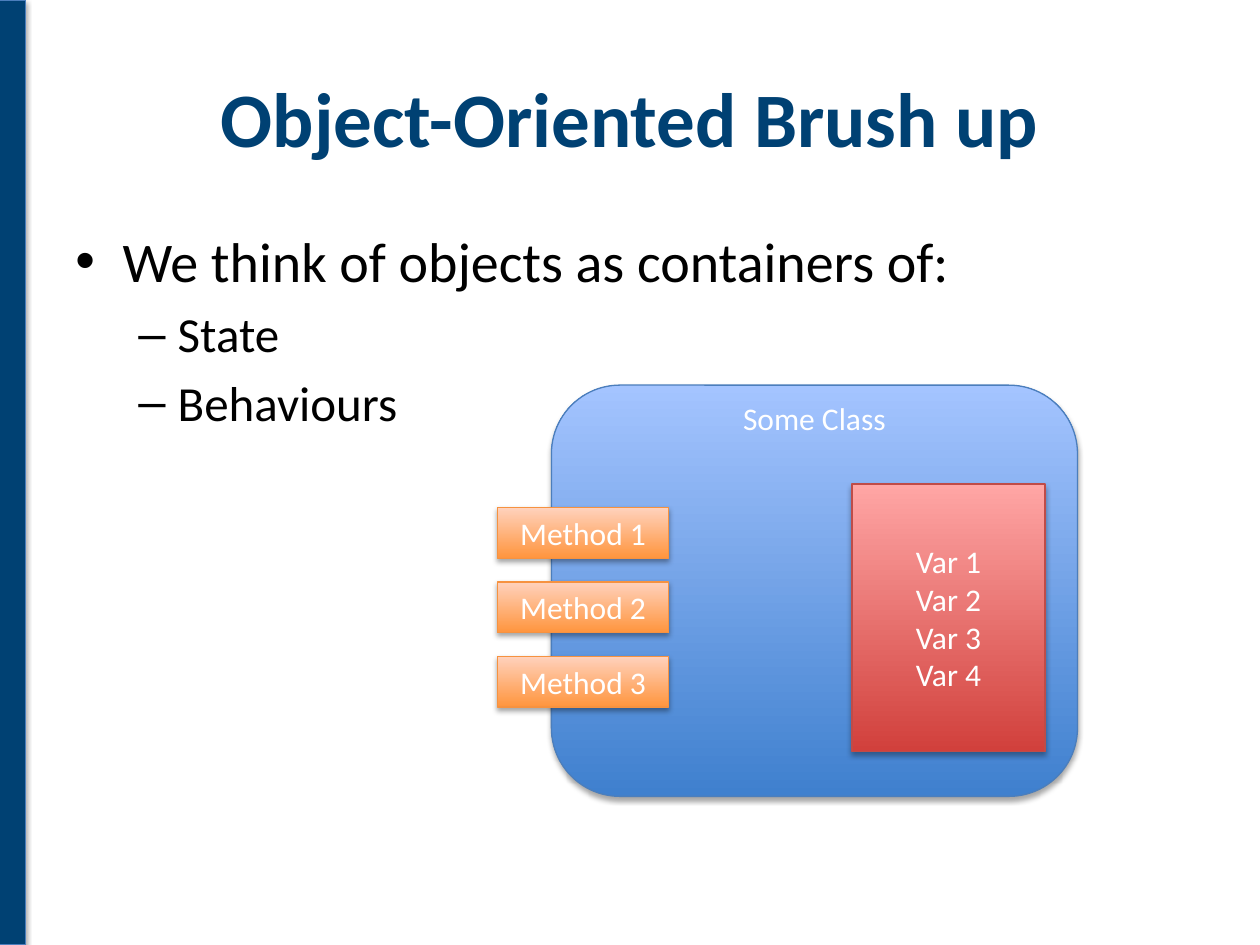
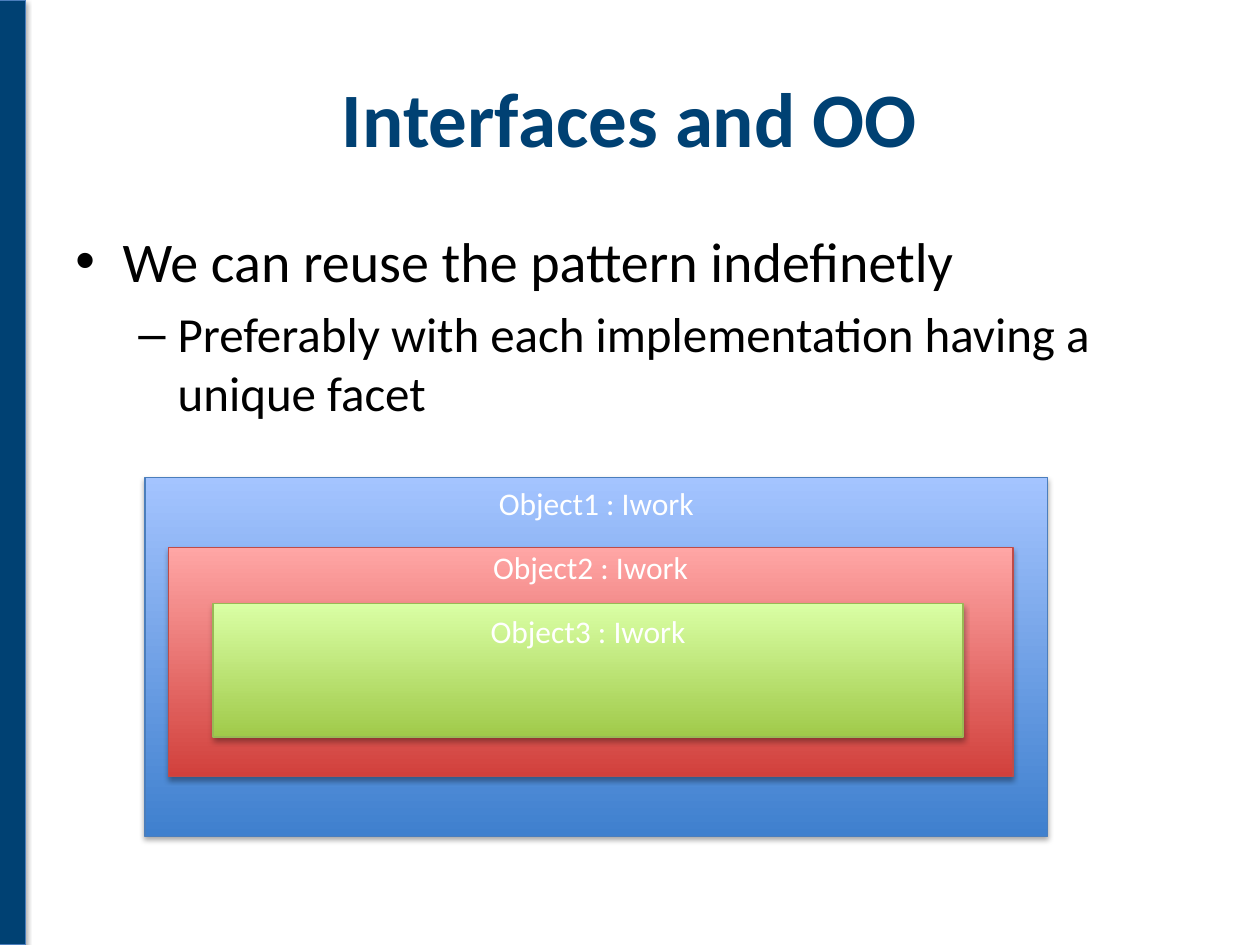
from lxml import etree
from pptx import Presentation
from pptx.dml.color import RGBColor
from pptx.enum.shapes import MSO_SHAPE
from pptx.enum.text import MSO_ANCHOR, PP_ALIGN
from pptx.oxml.ns import qn
from pptx.util import Pt

RECT, ROUND = MSO_SHAPE.RECTANGLE, MSO_SHAPE.ROUNDED_RECTANGLE
TOP, MIDDLE = MSO_ANCHOR.TOP, MSO_ANCHOR.MIDDLE
CENTER, LEFT = PP_ALIGN.CENTER, PP_ALIGN.LEFT

FONT = "Calibri"
NAVY, WHITE, BLACK = "004173", "FFFFFF", "000000"
BLUE = ("3F80CE", "A4C4FF", "4B7EBC")
RED = ("D1403C", "FFA6A5", "BF4C48")
ORANGE = ("FF953E", "FFD2BD", "F69240")
GREEN = ("A0CA4A", "DAFFA5", "98B955")
LEVELS = (("•", 32, 27, 27), ("–", 28, 58.5, 22.5))


def color(code):
    """Turn a hex string into a colour."""
    return RGBColor.from_string(code)


def style(par, size, code, align, bold=False):
    """Format a paragraph and its runs."""
    par.alignment = align
    for run in par.runs:
        run.font.name = FONT
        run.font.size = Pt(size)
        run.font.bold = bold
        run.font.color.rgb = color(code)


def shade(shape):
    """Give a shape the soft shadow of the deck."""
    shape.shadow.inherit = False
    effects = shape._element.spPr.find(qn("a:effectLst"))
    outer = etree.SubElement(effects, qn("a:outerShdw"), blurRad=str(Pt(3.1)),
                             dist=str(Pt(1.8)), dir="5400000", rotWithShape="0")
    tint = etree.SubElement(outer, qn("a:srgbClr"), val=BLACK)
    etree.SubElement(tint, qn("a:alpha"), val="35000")


def block(slide, kind, area, edge):
    """Add an outlined shape with a shadow."""
    shape = slide.shapes.add_shape(kind, *map(Pt, area))
    shape.line.color.rgb = color(edge)
    shape.line.width = Pt(0.75)
    shade(shape)
    return shape


def box(slide, text, area, theme, kind=RECT, inset=None):
    """Add a gradient box with its label centred, or at the top by an inset."""
    low, high, edge = theme
    shape = block(slide, kind, area, edge)
    shape.fill.gradient()
    shape.fill.gradient_angle = 90
    for stop, code in zip(shape.fill.gradient_stops, (low, high)):
        stop.color.rgb = color(code)
    frame = shape.text_frame
    frame.text = text
    frame.vertical_anchor = MIDDLE
    if inset is not None:
        frame.vertical_anchor = TOP
        frame.margin_top = Pt(inset)
    for par in frame.paragraphs:
        style(par, 18, WHITE, CENTER)


def textbox(slide, text, area, anchor):
    """Add a wrapping text box and return its frame."""
    frame = slide.shapes.add_textbox(*map(Pt, area)).text_frame
    frame.word_wrap = True
    frame.vertical_anchor = anchor
    frame.text = text
    return frame


def bullet(par, level):
    """Format a paragraph as a bullet of the given level."""
    mark, size, left, hang = LEVELS[level]
    style(par, size, BLACK, LEFT)
    par.level = level
    par.space_before = Pt(size * 0.2)
    props = par._p.get_or_add_pPr()
    props.set("marL", str(Pt(left)))
    props.set("indent", str(-Pt(hang)))
    etree.SubElement(props, qn("a:buFont"), typeface="Arial")
    etree.SubElement(props, qn("a:buChar"), char=mark)


def page(deck, title, lead, points):
    """Add a slide with the side band, title and bullets."""
    slide = deck.slides.add_slide(deck.slide_layouts[6])
    band = block(slide, RECT, (-8.64, 0, 23.04, 540), BLUE[2])
    band.fill.solid()
    band.fill.fore_color.rgb = color(NAVY)
    head = textbox(slide, title, (36, 21.6, 648, 90), MIDDLE)
    style(head.paragraphs[0], 44, NAVY, CENTER, True)
    body = textbox(slide, "\n".join([lead, *points]), (36, 126, 648, 356.4), TOP)
    for i, par in enumerate(body.paragraphs):
        bullet(par, min(i, 1))
    return slide


def brush(deck):
    """Build the slide on objects, with a class diagram."""
    slide = page(deck, "Object-Oriented Brush up",
                 "We think of objects as containers of:", ["State", "Behaviours"])
    box(slide, "Some Class", (315.1, 220.1, 300.6, 235), BLUE, ROUND, -3.4)
    names = "\n".join(f"Var {i}" for i in range(1, 5))
    box(slide, names, (486.8, 276.6, 110.4, 152.8), RED)
    for i in range(3):
        box(slide, f"Method {i + 1}", (284.2, 290 + 42.5 * i, 98, 29), ORANGE)


def nest(deck):
    """Build the slide on interfaces, with nested objects."""
    slide = page(deck, "Interfaces and OO", "We can reuse the pattern indefinetly",
                 ["Preferably with each implementation having a unique facet"])
    layers = (((82.9, 272.8, 515.8, 205.2), BLUE, 3.6),
              ((96.2, 312.9, 482.6, 131), RED, 0),
              ((121.8, 344.9, 428.6, 76.3), GREEN, 5))
    for i, (area, theme, inset) in enumerate(layers, 1):
        box(slide, f"Object{i} : Iwork", area, theme, inset=inset)


def main():
    """Build and save the deck."""
    deck = Presentation()
    deck.slide_width, deck.slide_height = Pt(720), Pt(540)
    brush(deck)
    nest(deck)
    deck.save("out.pptx")


main()
